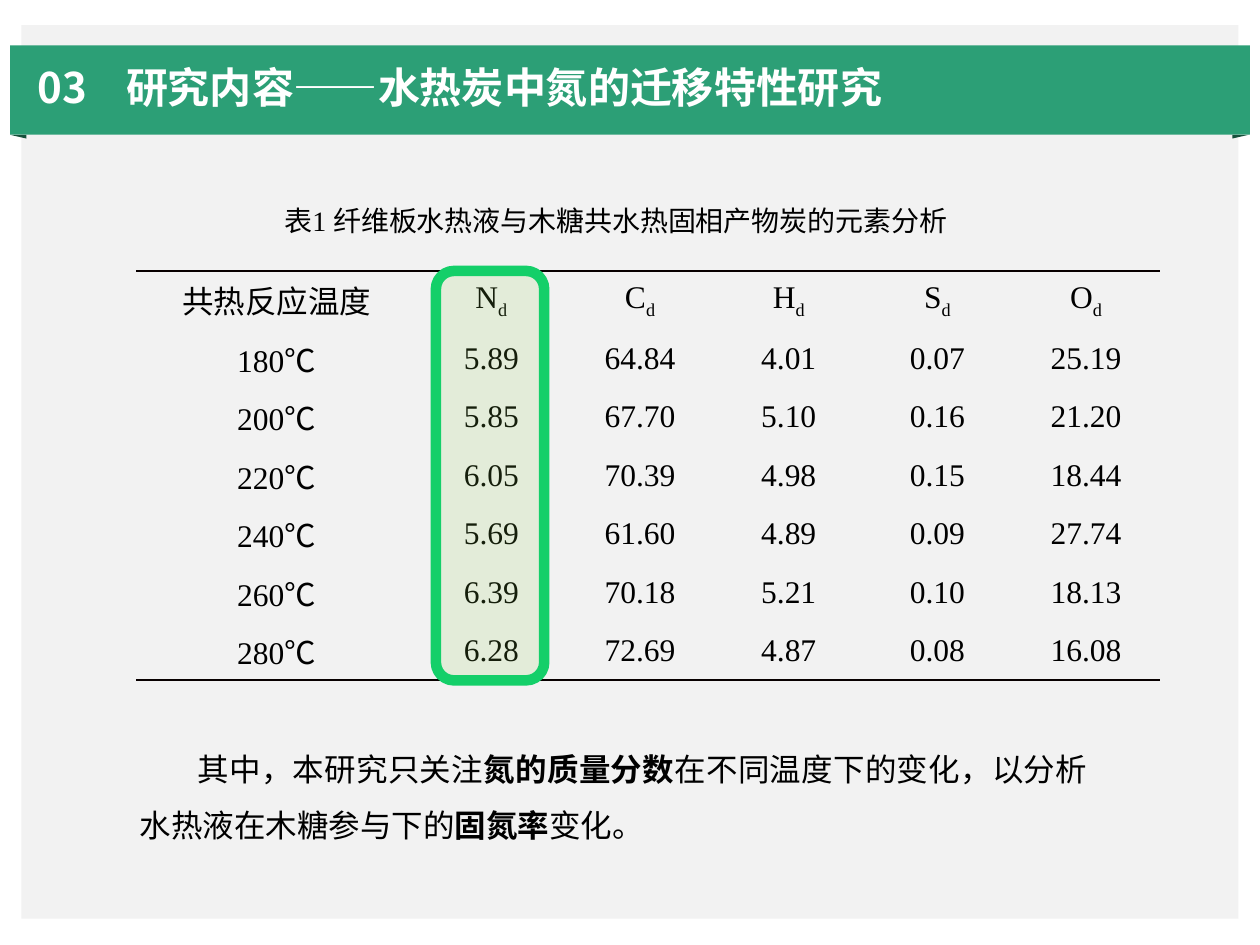
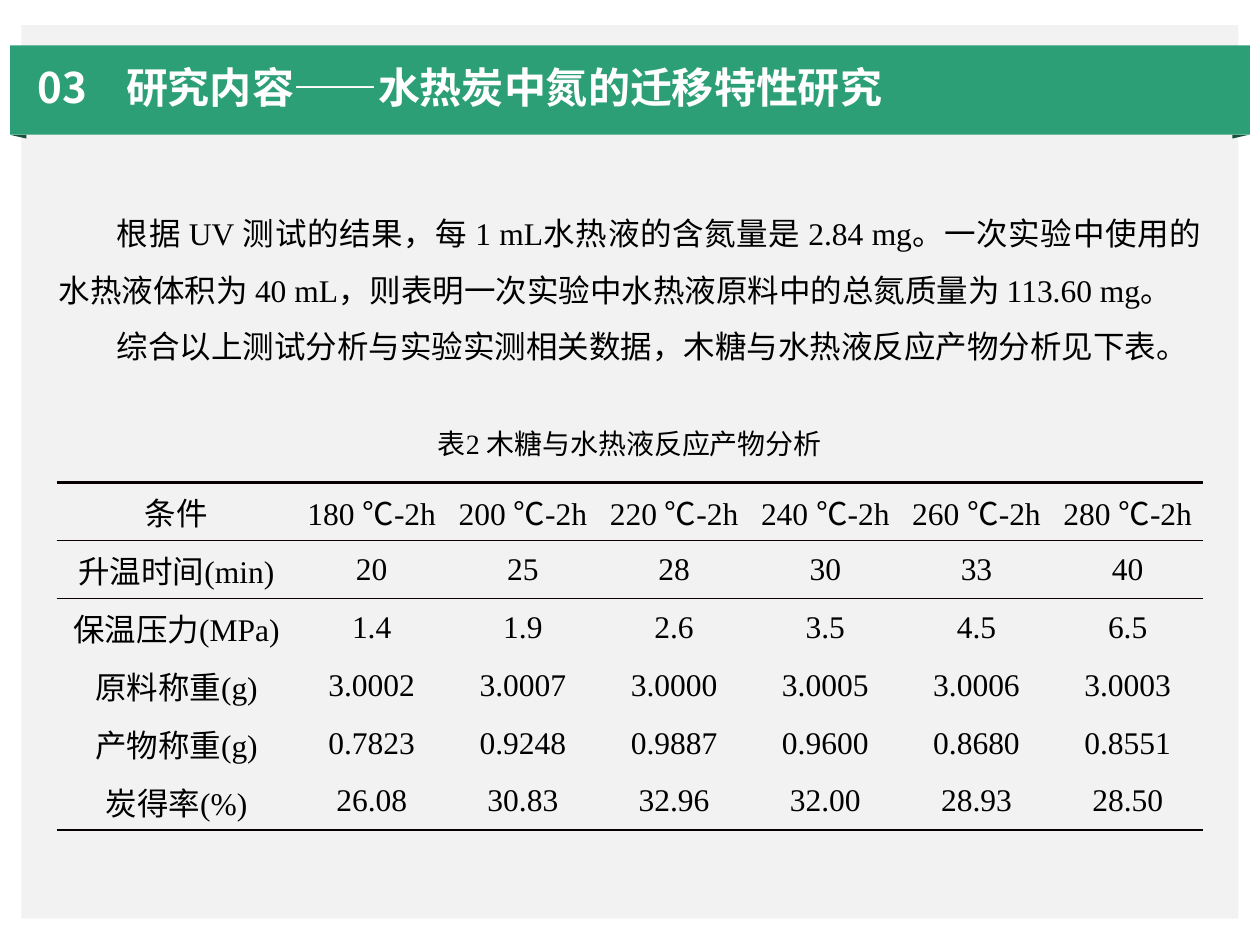
from lxml import etree
from pptx import Presentation
from pptx.dml.color import RGBColor
from pptx.enum.shapes import MSO_SHAPE
from pptx.enum.text import MSO_ANCHOR, MSO_AUTO_SIZE, PP_ALIGN
from pptx.oxml.ns import qn
from pptx.util import Inches, Pt

RECT, ROUND, FOLD = MSO_SHAPE.RECTANGLE, MSO_SHAPE.ROUNDED_RECTANGLE, MSO_SHAPE.ISOSCELES_TRIANGLE
LEFT, MID, JUST = PP_ALIGN.LEFT, PP_ALIGN.CENTER, PP_ALIGN.JUSTIFY
CENTER, FIXED = MSO_ANCHOR.MIDDLE, MSO_AUTO_SIZE.NONE

WHITE = RGBColor(0xFF, 0xFF, 0xFF)
BLACK = RGBColor(0x00, 0x00, 0x00)
PANEL = RGBColor(0xF2, 0xF2, 0xF2)
GREEN = RGBColor(0x2C, 0x9F, 0x76)
DARK = RGBColor(0x16, 0x50, 0x3B)
LIME = RGBColor(0x92, 0xD0, 0x50)
MARK = RGBColor(0x14, 0xCF, 0x69)
RULE = "080000"

SANS, SERIF = "Noto Sans CJK SC", "Times New Roman"
PLAIN = "{2D5ABB26-0587-4C30-8999-92F81FD0307C}"
HEAD = {"size": Pt(24), "bold": True, "name": SANS}
NOTE = {"size": Pt(16), "name": SERIF}
BODY = {"size": Pt(18), "name": SERIF}
TITLE = "03\t研究内容——水热炭中氮的迁移特性研究"


def write(para, text, form, color=BLACK):
    for bit in text.replace("℃", "|℃|").strip("|").split("|"):
        run = para.add_run()
        run.text = bit.lstrip("*_")
        for key, value in form.items():
            setattr(run.font, key, value)
        run.font.color.rgb = color
        if bit == "℃":
            run.font.name = SANS
        if bit.startswith("*"):
            run.font.bold = True
        props = run._r.get_or_add_rPr()
        if bit.startswith("_"):
            props.set("baseline", "-25000")
        etree.SubElement(props, qn("a:ea")).set("typeface", SANS)


def draw(slide, kind, box, color):
    shape = slide.shapes.add_shape(kind, *map(Inches, box))
    shape.shadow.inherit = False
    shape.fill.solid()
    shape.fill.fore_color.rgb = color
    shape.line.fill.background()
    return shape


prs = Presentation()
prs.slide_width, prs.slide_height = Inches(10), Inches(7.5)
layout = prs.slide_layouts[5]
slides = [prs.slides.add_slide(layout) for _ in range(2)]

frame = [
    (RECT, (0.17, 0.2, 9.66, 7.09), PANEL, 0),
    (RECT, (0.08, 0.36, 9.84, 0.71), GREEN, 0),
    (FOLD, (0.13, 1.02, 0.03, 0.13), DARK, 270),
    (FOLD, (9.83, 1.02, 0.03, 0.13), DARK, 90),
]
for num, (kind, box, color, turn) in enumerate(frame, 20):
    shape = draw(slides[0], kind, box, color)
    shape.rotation = turn
    if kind == FOLD:
        shape.adjustments[0] = 0
    if turn == 270:
        shape._element.spPr.xfrm.set("flipH", "1")
    shape._element.nvSpPr.cNvPr.set("id", str(num))
    layout.shapes._spTree.append(shape._element)

for slide in slides:
    title = slide.shapes.title
    title.left, title.top, title.width, title.height = map(Inches, (0.2, 0.52, 9.39, 0.39))
    text = title.text_frame
    for key, value in {"margin_top": 0, "margin_bottom": 0, "auto_size": FIXED,
                       "vertical_anchor": CENTER, "word_wrap": True}.items():
        setattr(text, key, value)
    para = text.paragraphs[0]
    para.alignment, para.line_spacing = LEFT, 0.9
    tabs = etree.SubElement(para._p.get_or_add_pPr(), qn("a:tabLst"))
    stop = etree.SubElement(tabs, qn("a:tab"))
    stop.set("pos", str(Inches(0.7)))
    stop.set("algn", "l")
    write(para, TITLE, HEAD, WHITE)

temps = range(180, 300, 20)
parts = [
    "5.89 64.84 4.01 0.07 25.19",
    "5.85 67.70 5.10 0.16 21.20",
    "6.05 70.39 4.98 0.15 18.44",
    "5.69 61.60 4.89 0.09 27.74",
    "6.39 70.18 5.21 0.10 18.13",
    "6.28 72.69 4.87 0.08 16.08",
]
first = [["共热反应温度"] + [f"{name}|_d" for name in "NCHSO"]]
first += [[f"{temp}℃"] + row.split() for temp, row in zip(temps, parts)]

runs = [
    ("升温时间(min)", "20 25 28 30 33 40"),
    ("保温压力(MPa)", "1.4 1.9 2.6 3.5 4.5 6.5"),
    ("原料称重(g)", "3.0002 3.0007 3.0000 3.0005 3.0006 3.0003"),
    ("产物称重(g)", "0.7823 0.9248 0.9887 0.9600 0.8680 0.8551"),
    ("炭得率(%)", "26.08 30.83 32.96 32.00 28.93 28.50"),
]
second = [["条件"] + [f"{temp} ℃-2h" for temp in temps]]
second += [[name] + row.split() for name, row in runs]

tables = [
    (slides[0], first, 1.08, 2.15, 2.23, 1.18, 3.25, {(0, "T"): 1.5, (6, "B"): 1.5}),
    (slides[1], second, 0.45, 3.83, 1.9, 1.2, 2.76,
     {(0, "T"): 1.5, (0, "B"): 1, (1, "T"): 1, (5, "B"): 1.5}),
]
for slide, data, left, top, wide, step, high, rules in tables:
    cols = len(data[0])
    box = (left, top, wide + step * (cols - 1), high)
    table = slide.shapes.add_table(len(data), cols, *map(Inches, box)).table
    table.first_row = table.horz_banding = False
    table._tbl.tblPr[0].text = PLAIN
    for col, column in enumerate(table.columns):
        column.width = Inches(step if col else wide)
    for row, line in enumerate(data):
        for col, text in enumerate(line):
            cell = table.cell(row, col)
            for key, value in {"margin_left": Inches(0.07), "margin_right": Inches(0.07),
                               "margin_top": 0, "margin_bottom": 0,
                               "vertical_anchor": CENTER}.items():
                setattr(cell, key, value)
            for side in "TB":
                if (row, side) in rules:
                    edge = etree.SubElement(cell._tc.get_or_add_tcPr(), qn(f"a:ln{side}"))
                    edge.set("w", str(Pt(rules[row, side])))
                    fill = etree.SubElement(edge, qn("a:solidFill"))
                    etree.SubElement(fill, qn("a:srgbClr")).set("val", RULE)
            cell.fill.background()
            para = cell.text_frame.paragraphs[0]
            para.alignment = MID
            write(para, text, BODY)

texts = [
    (slides[0], (0.92, 1.57, 7.94, 0.37), NOTE,
     ["表|1 |纤维板水热液与木糖共水热固相产物炭的元素分析"]),
    (slides[0], (1.01, 5.75, 7.72, 1.01), BODY,
     ["其中，本研究只关注|*氮的质量分数|在不同温度下的变化，以分析水热液在木糖参与下的|*固氮率|变化。"]),
    (slides[1], (1.03, 3.34, 7.94, 0.37), NOTE, ["表|2 |木糖与水热液反应产物分析"]),
    (slides[1], (0.37, 1.5, 9.26, 1.46), BODY,
     ["根据 UV 测试的结果，每 1 mL水热液的含氮量是 2.84 mg。一次实验中使用的水热液体积为 40 mL，"
      "则表明一次实验中水热液原料中的总氮质量为 113.60 mg。",
      "综合以上测试分析与实验实测相关数据，木糖与水热液反应产物分析见下表。"]),
]
for slide, box, form, lines in texts:
    text = slide.shapes.add_textbox(*map(Inches, box)).text_frame
    text.word_wrap = True
    for num, line in enumerate(lines):
        para = text.add_paragraph() if num else text.paragraphs[0]
        para.alignment = MID
        if form is BODY:
            para.alignment, para.line_spacing = JUST, 1.5
            para._p.get_or_add_pPr().set("indent", str(Inches(0.46)))
        write(para, line, form)

ring = draw(slides[0], ROUND, (3.46, 2.15, 0.86, 3.25), LIME)
tint = ring._element.spPr.find(qn("a:solidFill"))[0]
etree.SubElement(tint, qn("a:alpha")).set("val", "15000")
ring.line.color.rgb = MARK
ring.line.width = Pt(6)

prs.save("out.pptx")
